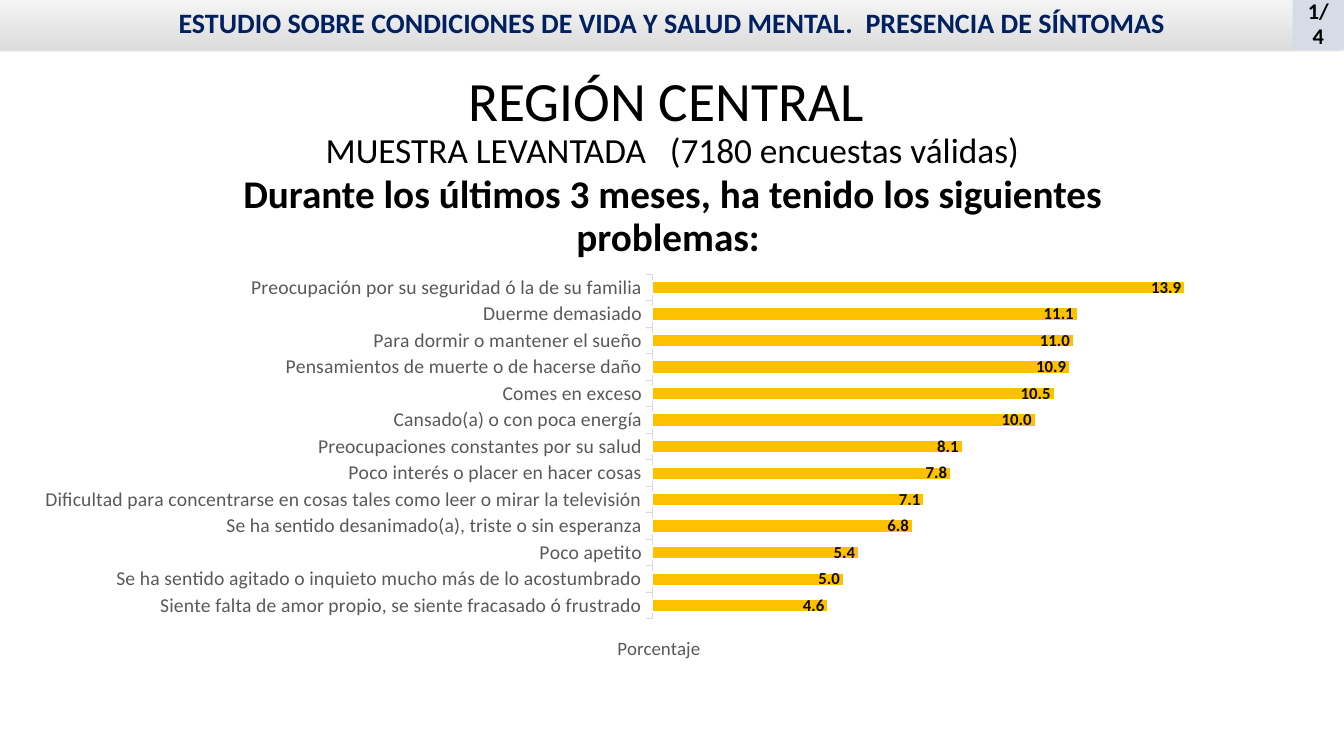
from lxml import etree
from pptx import Presentation
from pptx import util as u
from pptx.chart import data as chart_data
from pptx.dml.color import RGBColor
from pptx.enum import chart as ch, shapes, text
from pptx.oxml import parse_xml
from pptx.oxml.ns import nsdecls, qn

BLACK = RGBColor(0x00, 0x00, 0x00)
NAVY = RGBColor(0x00, 0x20, 0x60)
WHITE = RGBColor(0xFF, 0xFF, 0xFF)
BAND_DARK = RGBColor(0xDD, 0xDD, 0xDD)
BAND_LIGHT = RGBColor(0xF4, 0xF4, 0xF4)
PAGE_FILL = RGBColor(0xD6, 0xDC, 0xE5)
GOLD = RGBColor(0xFF, 0xC0, 0x00)
AXIS_TEXT = RGBColor(0x59, 0x59, 0x59)
AXIS_LINE = RGBColor(0xD9, 0xD9, 0xD9)
LABEL_TEXT = RGBColor(0x0D, 0x0D, 0x0D)
FONT = "Calibri"

# Symptoms from the most to the least frequent, in percent
SYMPTOMS = [
    ("Preocupación por su seguridad ó la de su familia", 13.9),
    ("Duerme demasiado", 11.1),
    ("Para dormir o mantener el sueño", 11.0),
    ("Pensamientos de muerte o de hacerse daño", 10.9),
    ("Comes en exceso", 10.5),
    ("Cansado(a) o con poca energía", 10.0),
    ("Preocupaciones constantes por su salud", 8.1),
    ("Poco interés o placer en hacer cosas", 7.8),
    ("Dificultad para concentrarse en cosas tales como leer o mirar la televisión", 7.1),
    ("Se ha sentido desanimado(a), triste o sin esperanza", 6.8),
    ("Poco apetito", 5.4),
    ("Se ha sentido agitado o inquieto mucho más de lo acostumbrado", 5.0),
    ("Siente falta de amor propio, se siente fracasado ó frustrado", 4.6),
]


def inches(*lengths):
    return [u.Inches(length) for length in lengths]


def style_font(font, size, color, bold=False):
    font.name = FONT
    font.size = u.Pt(size)
    font.bold = bold
    font.color.rgb = color


def center_text(frame):
    frame.word_wrap = True
    frame.auto_size = text.MSO_AUTO_SIZE.NONE
    frame.vertical_anchor = text.MSO_ANCHOR.MIDDLE
    paragraph = frame.paragraphs[0]
    paragraph.alignment = text.PP_ALIGN.CENTER
    paragraph.line_spacing = 0.9
    paragraph.space_before = u.Pt(0)
    return paragraph


def write_line(frame, words, size, color):
    paragraph = center_text(frame)
    paragraph.text = words
    style_font(paragraph.font, size, color, bold=True)


def add_box(slide, box):
    shape = slide.shapes.add_shape(shapes.MSO_SHAPE.RECTANGLE, *inches(*box))
    shape.line.fill.background()
    shape.shadow.inherit = False
    return shape


def add_header(slide, left, top, width, height):
    # Grey band with a soft shadow
    band = add_box(slide, (left, top, width, height))
    band.fill.gradient()
    band.fill.gradient_angle = 90
    for stop, color in zip(band.fill.gradient_stops, (BAND_DARK, BAND_LIGHT)):
        stop.color.rgb = color
    effects = band._element.spPr.find(qn("a:effectLst"))
    effects.append(parse_xml(
        f'<a:outerShdw {nsdecls("a")} blurRad="{u.Pt(4)}" dist="{u.Pt(3)}" '
        'dir="13500000" algn="br" rotWithShape="0">'
        '<a:srgbClr val="000000"><a:alpha val="40000"/></a:srgbClr></a:outerShdw>'))
    write_line(band.text_frame,
               "ESTUDIO SOBRE CONDICIONES DE VIDA Y SALUD MENTAL.  PRESENCIA DE SÍNTOMAS",
               20, NAVY)

    # Page marker at the right end of the band
    marker_width = 0.51
    marker = add_box(slide, (left + width - marker_width, top, marker_width, height))
    marker.fill.solid()
    marker.fill.fore_color.rgb = PAGE_FILL
    write_line(marker.text_frame, "1/4", 16, BLACK)


def add_headings(slide, left, top, width):
    # Region and sample size
    title = slide.shapes.title
    title_width = 7.55
    title.left, title.top, title.width, title.height = inches(
        left + (width - title_width) / 2, top, title_width, 0.89)
    paragraph = center_text(title.text_frame)
    region = paragraph.add_run()
    region.text = "REGIÓN CENTRAL "
    style_font(region.font, 39.6, BLACK)
    paragraph.add_line_break()
    sample = paragraph.add_run()
    sample.text = "MUESTRA LEVANTADA   (7180 encuestas válidas)"
    style_font(sample.font, 25.2, BLACK)

    # Survey question
    question = slide.shapes.add_textbox(*inches(left, top + 1.12, width, 0.53))
    write_line(question.text_frame,
               "Durante los últimos 3 meses, ha tenido los siguientes problemas: ",
               28, BLACK)


def set_layout(element, index, **settings):
    """Place a chart part by fractions of the chart's size."""
    layout = element.find(qn("c:layout"))
    if layout is None:
        layout = etree.Element(qn("c:layout"))
        element.insert(index, layout)
    manual = etree.SubElement(layout, qn("c:manualLayout"))
    for name, value in settings.items():
        etree.SubElement(manual, qn(f"c:{name}")).set("val", str(value))


def add_symptom_chart(slide, left, top, width, height):
    data = chart_data.CategoryChartData(number_format="#,##0.0")
    names, values = zip(*reversed(SYMPTOMS))
    data.categories = names
    data.add_series("Porcentaje", values)
    chart = slide.shapes.add_chart(ch.XL_CHART_TYPE.BAR_STACKED,
                                   *inches(left, top, width, height), data).chart
    chart.has_legend = False
    chart.has_title = False
    style_font(chart.font, 10, BLACK)

    # Bars and their values
    plot = chart.plots[0]
    plot.gap_width = 100
    plot.overlap = 100
    plot.vary_by_categories = False
    bars = plot.series[0].format
    bars.fill.solid()
    bars.fill.fore_color.rgb = GOLD
    bars.line.color.rgb = WHITE
    bars.line.width = u.Pt(1.5)
    plot.has_data_labels = True
    labels = plot.data_labels
    labels.show_value = True
    labels.position = ch.XL_LABEL_POSITION.INSIDE_END
    labels.number_format = "#,##0.0"
    labels.number_format_is_linked = False
    style_font(labels.font, 12, LABEL_TEXT, bold=True)

    # Axes
    categories = chart.category_axis
    categories.has_major_gridlines = False
    categories.major_tick_mark = ch.XL_TICK_MARK.OUTSIDE
    categories.format.line.color.rgb = AXIS_LINE
    categories.format.line.width = u.Pt(0.75)
    style_font(categories.tick_labels.font, 14, AXIS_TEXT)
    percent = chart.value_axis
    percent.has_major_gridlines = False
    percent.minimum_scale, percent.maximum_scale = 0, 16
    percent.visible = False
    caption = percent.axis_title.text_frame.paragraphs[0]
    caption.text = "Porcentaje"
    style_font(caption.font, 13.5, AXIS_TEXT)

    # Plot area and caption places
    set_layout(chart._chartSpace.chart.plotArea, 0, layoutTarget="inner",
               xMode="edge", yMode="edge", x=0.497, y=0.02, w=0.482, h=0.838)
    set_layout(percent.axis_title._element, 1,
               xMode="edge", yMode="edge", x=0.467, y=0.89)


def build_slide(presentation):
    slide = presentation.slides.add_slide(presentation.slide_layouts[5])
    add_headings(slide, 1.4, 0.77, 10.54)
    add_header(slide, 0, 0, 13.33, 0.49)
    add_symptom_chart(slide, 0.19, 2.64, 12.63, 4.08)


def main():
    presentation = Presentation()
    presentation.slide_width, presentation.slide_height = inches(13.33, 7.5)
    build_slide(presentation)
    presentation.save("out.pptx")


if __name__ == "__main__":
    main()
